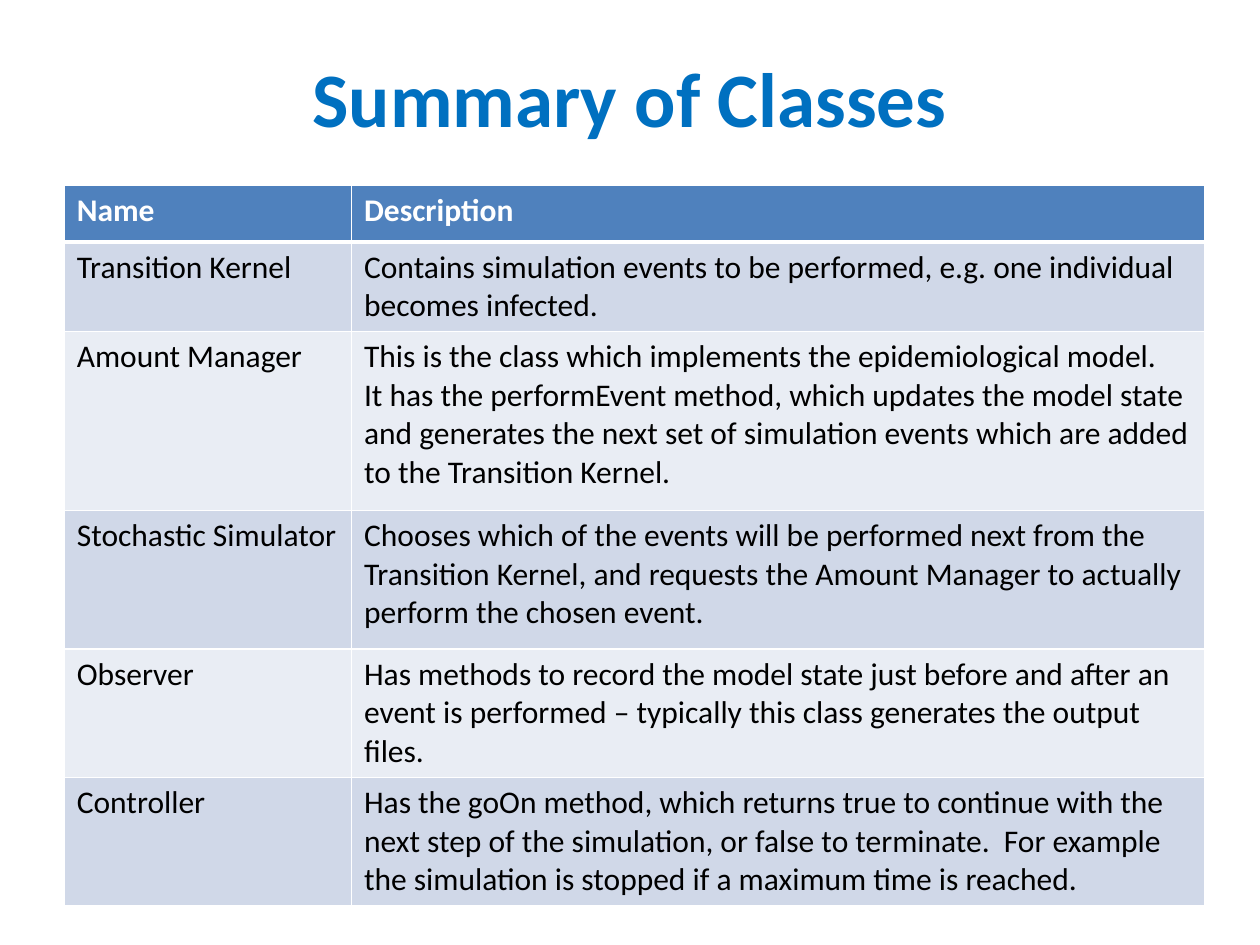
from dataclasses import dataclass

from lxml import etree
from pptx import Presentation
from pptx.dml.color import RGBColor
from pptx.enum import text
from pptx.oxml import ns
from pptx.util import Inches, Pt


@dataclass(frozen=True)
class Theme:
    font: str = "Calibri"
    title_size: int = 44
    body_size: int = 18
    title: str = "0070C0"
    header: str = "4F81BD"
    bands: tuple = ("D0D8E8", "E9EDF4")
    light: str = "FFFFFF"
    dark: str = "000000"


THEME = Theme()
COLUMN_WIDTHS = (2.28, 6.77)
ROW_HEIGHTS = (0.45, 0.71, 1.42, 1.1, 1.02, 1.02)
CLASSES = [
    ("Name", "Description"),
    ("Transition Kernel",
     "Contains simulation events to be performed, e.g. one individual becomes infected."),
    ("Amount Manager",
     "This is the class which implements the epidemiological model.\n"
     "It has the performEvent method, which updates the model state and generates "
     "the next set of simulation events which are added to the Transition Kernel."),
    ("Stochastic Simulator",
     "Chooses which of the events will be performed next from the Transition Kernel, "
     "and requests the Amount Manager to actually perform the chosen event."),
    ("Observer",
     "Has methods to record the model state just before and after an event is performed "
     "\u2013 typically this class generates the output files."),
    ("Controller",
     "Has the goOn method, which returns true to continue with the next step of the "
     "simulation, or false to terminate.  For example the simulation is stopped if a "
     "maximum time is reached."),
]


def add_run(paragraph, wording, size, color, bold=False):
    run = paragraph.add_run()
    run.text = wording
    run.font.name = THEME.font
    run.font.size = Pt(size)
    run.font.bold = bold
    run.font.color.rgb = RGBColor.from_string(color)


def set_borders(cell, widths):
    """Draw light borders; widths maps each side (L, R, T, B) to points."""
    properties = cell._tc.get_or_add_tcPr()
    for side, width in widths.items():
        line = etree.SubElement(properties, ns.qn(f"a:ln{side}"), w=str(Pt(width)))
        fill = etree.SubElement(line, ns.qn("a:solidFill"))
        etree.SubElement(fill, ns.qn("a:srgbClr"), val=THEME.light)


def add_title(slide, left, top, width, height):
    shape = slide.shapes.add_textbox(Inches(left), Inches(top), Inches(width), Inches(height))
    frame = shape.text_frame
    frame.word_wrap = True
    frame.vertical_anchor = text.MSO_ANCHOR.MIDDLE
    paragraph = frame.paragraphs[0]
    paragraph.alignment = text.PP_ALIGN.CENTER
    add_run(paragraph, "Summary of Classes", THEME.title_size, THEME.title, True)


def fill_cell(cell, wording, row):
    is_header = row == 0
    # Thick rule between the header and the body
    set_borders(cell, {"L": 1, "R": 1, "T": 3 if row == 1 else 1, "B": 3 if is_header else 1})
    cell.fill.solid()
    background = THEME.header if is_header else THEME.bands[(row - 1) % 2]
    cell.fill.fore_color.rgb = RGBColor.from_string(background)
    frame = cell.text_frame
    for index, line in enumerate(wording.split("\n")):
        paragraph = frame.add_paragraph() if index else frame.paragraphs[0]
        add_run(paragraph, line, THEME.body_size,
                THEME.light if is_header else THEME.dark, is_header)


def add_class_table(slide, left, top):
    table = slide.shapes.add_table(
        len(CLASSES), len(COLUMN_WIDTHS), Inches(left), Inches(top),
        Inches(sum(COLUMN_WIDTHS)), Inches(sum(ROW_HEIGHTS))).table
    for column, width in zip(table.columns, COLUMN_WIDTHS):
        column.width = Inches(width)
    for row, (height, entries) in enumerate(zip(ROW_HEIGHTS, CLASSES)):
        table.rows[row].height = Inches(height)
        for column, wording in enumerate(entries):
            fill_cell(table.cell(row, column), wording, row)


def main():
    presentation = Presentation()
    presentation.slide_width, presentation.slide_height = Inches(10), Inches(7.5)
    slide = presentation.slides.add_slide(presentation.slide_layouts[6])
    add_title(slide, 0.5, 0.14, 9, 1.25)
    add_class_table(slide, 0.51, 1.47)
    presentation.save("out.pptx")


main()
